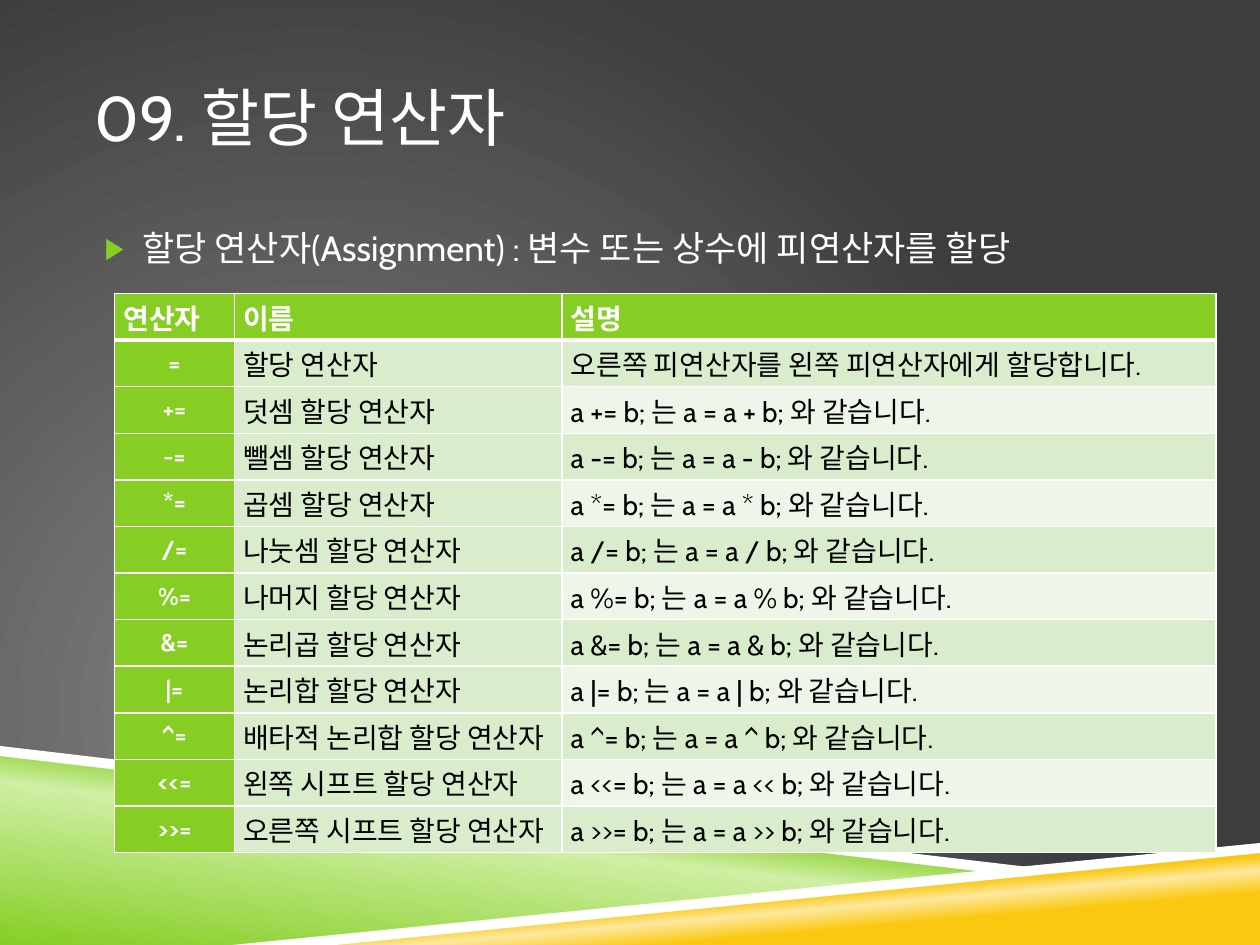
import pptx
import pptx.util
import pptx.dml.color
import pptx.enum.text
import pptx.oxml
import pptx.oxml.ns
import lxml.etree

Inches = pptx.util.Inches
ALIGN = pptx.enum.text.PP_ALIGN
MIDDLE = pptx.enum.text.MSO_ANCHOR.MIDDLE
FONT = "Cabin"
COLORS = {
    "white": "FFFFFF", "black": "000000", "green": "86CE24",
    "light green": "CFEFA4", "yellow": "FAC810", "light yellow": "FDE99F",
    "gray": "878787", "dark gray": "3D3D3D",
    "band": "D9EDCD", "pale band": "EDF6E8",
}

# Content
TITLE = "09. 할당 연산자"
DEFINITION = "할당 연산자(Assignment) : 변수 또는 상수에 피연산자를 할당"
HEADER = ("연산자", "이름", "설명")
ASSIGNMENT = ("=", "할당 연산자", "오른쪽 피연산자를 왼쪽 피연산자에게 할당합니다.")
COMPOUND_OPERATORS = [
    ("+", "덧셈"), ("-", "뺄셈"), ("*", "곱셈"), ("/", "나눗셈"),
    ("%", "나머지"), ("&", "논리곱"), ("|", "논리합"),
    ("^", "배타적 논리합"), ("<<", "왼쪽 시프트"), (">>", "오른쪽 시프트"),
]
ROWS = [HEADER, ASSIGNMENT] + [
    (f"{sign}=", f"{name} 할당 연산자", f"a {sign}= b; 는 a = a {sign} b; 와 같습니다.")
    for sign, name in COMPOUND_OPERATORS
]
COLUMN_WIDTHS = (0.95, 2.6, 5.19)
ROW_HEIGHT = 0.37

# Corner decoration: outline, gradient stops or plain colour, angle
WEDGES = [
    ([(0, 5.97), (7.92, 6.92), (2, 7.5), (0, 7.5)],
     [(0, "green"), (52, "light green"), (66, "green")], 277),
    ([(1.98, 7.5), (10, 6.72), (10, 7.5)],
     [(28, "yellow"), (40, "light yellow"), (48, "yellow")], 265),
    ([(0, 5.92), (0, 6), (7.9, 6.93), (8.32, 6.9)], "white", None),
    ([(10, 6.69), (1.84, 7.5), (2.66, 7.5), (10, 6.77)], "white", None),
]


def rgb(name):
    return pptx.dml.color.RGBColor.from_string(COLORS[name])


def add_child(parent, tag, **attributes):
    child = lxml.etree.SubElement(parent, pptx.oxml.ns.qn(tag))
    for key, value in attributes.items():
        child.set(key, str(value))
    return child


def set_gradient(fill, owner, stops, angle=None, focus=None):
    fill.gradient()
    gradient = next(owner.iter(pptx.oxml.ns.qn("a:gradFill")))
    for child in list(gradient):
        gradient.remove(child)
    stop_list = add_child(gradient, "a:gsLst")
    for position, color in stops:
        stop = add_child(stop_list, "a:gs", pos=position * 1000)
        add_child(stop, "a:srgbClr", val=COLORS[color])
    if focus:
        circle = add_child(gradient, "a:path", path="circle")
        sides = {side: value * 1000 for side, value in zip("ltrb", focus)}
        add_child(circle, "a:fillToRect", **sides)
    else:
        add_child(gradient, "a:lin", ang=angle * 60000, scaled=0)


def add_bullet(paragraph, color, size, character):
    properties = paragraph._p.get_or_add_pPr()
    properties.set("marL", str(Inches(0.38)))
    properties.set("indent", str(Inches(-0.3)))
    add_child(add_child(properties, "a:buClr"), "a:srgbClr", val=COLORS[color])
    add_child(properties, "a:buSzPct", val=size * 1000)
    add_child(properties, "a:buFont", typeface="Arial")
    add_child(properties, "a:buChar", char=character)


def write_text(frame, text, size=16, color="white", bold=False,
               align=ALIGN.LEFT, bullet=None):
    paragraph = frame.paragraphs[0]
    paragraph.alignment = align
    if bullet:
        add_bullet(paragraph, *bullet)
    run = paragraph.add_run()
    run.text = text
    run.font.name = FONT
    run.font.size = pptx.util.Pt(size)
    run.font.bold = bold
    run.font.color.rgb = rgb(color)


def set_insets(frame):
    frame.word_wrap = True
    frame.margin_left = frame.margin_right = 0
    frame.margin_top = frame.margin_bottom = Inches(0.05)


def add_borders(cell, widths):
    properties = cell._tc.get_or_add_tcPr()
    for side, width in zip("LRTB", widths):
        line = add_child(properties, f"a:ln{side}", w=pptx.util.Pt(width))
        add_child(add_child(line, "a:solidFill"), "a:srgbClr", val=COLORS["white"])


def cell_format(row, column):
    """Return the fill and the text format of one table cell."""
    if row == 0:
        return "green", {"bold": True, "align": ALIGN.JUSTIFY}
    if column == 0:
        return "green", {"size": 14, "bold": True, "align": ALIGN.CENTER}
    pale = column == 2 and row % 2 == 0
    return ("pale band" if pale else "band",
            {"color": "black", "align": ALIGN.JUSTIFY})


presentation = pptx.Presentation()
presentation.slide_width, presentation.slide_height = Inches(10), Inches(7.5)
slide = presentation.slides.add_slide(presentation.slide_layouts[5])

# Background and corner wedges
set_gradient(slide.background.fill, slide._element,
             [(0, "gray"), (100, "dark gray")], focus=(50, 100, 100, 50))
for outline, paint, angle in WEDGES:
    points = [(Inches(x), Inches(y)) for x, y in outline]
    builder = slide.shapes.build_freeform(*points[0])
    builder.add_line_segments(points[1:], close=True)
    wedge = builder.convert_to_shape()
    wedge.shadow.inherit = False
    wedge.line.fill.background()
    if angle is None:
        wedge.fill.solid()
        wedge.fill.fore_color.rgb = rgb(paint)
    else:
        set_gradient(wedge.fill, wedge._element, paint, angle)

# Title
title = slide.shapes.title
title.left, title.top = Inches(0.75), Inches(0.3)
title.width, title.height = Inches(8.5), Inches(1.25)
set_insets(title.text_frame)
title.text_frame.vertical_anchor = MIDDLE
write_text(title.text_frame, TITLE, size=36)

# Definition
definition = slide.shapes.add_textbox(Inches(0.75), Inches(1.75), Inches(8.5), Inches(0.5))
set_insets(definition.text_frame)
write_text(definition.text_frame, DEFINITION, size=20, bullet=("green", 85, "▶"))

# Operator table
table = slide.shapes.add_table(
    len(ROWS), len(HEADER), Inches(0.91), Inches(2.33),
    Inches(sum(COLUMN_WIDTHS)), Inches(ROW_HEIGHT * len(ROWS))).table
for column, width in zip(table.columns, COLUMN_WIDTHS):
    column.width = Inches(width)
for row_index, texts in enumerate(ROWS):
    table.rows[row_index].height = Inches(ROW_HEIGHT)
    top_width = 3 if row_index == 1 else 1
    bottom_width = 3 if row_index == 0 else 1
    for column_index, text in enumerate(texts):
        cell = table.cell(row_index, column_index)
        fill, text_format = cell_format(row_index, column_index)
        add_borders(cell, (1, 1, top_width, bottom_width))
        cell.fill.solid()
        cell.fill.fore_color.rgb = rgb(fill)
        cell.vertical_anchor = MIDDLE
        cell.margin_left = cell.margin_right = Inches(0.07)
        cell.margin_top = cell.margin_bottom = 0
        write_text(cell.text_frame, text, **text_format)

presentation.save("out.pptx")
